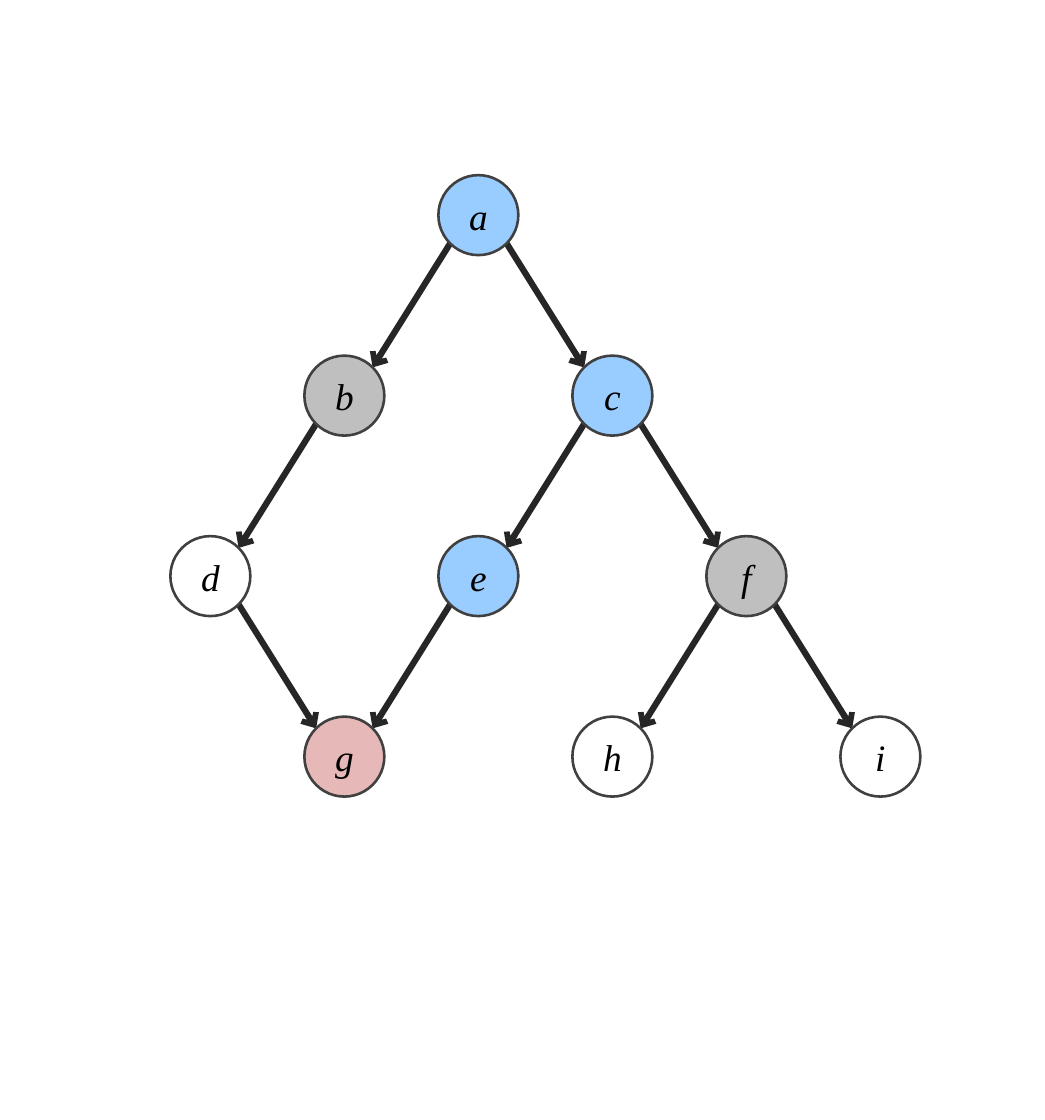
"""Build a slide with a directed graph of lettered nodes."""
import math

import lxml.etree
import pptx
import pptx.dml.color
import pptx.enum.shapes
import pptx.enum.text
import pptx.oxml.ns
import pptx.util

Cm = pptx.util.Cm
Pt = pptx.util.Pt

COLORS = {
    "edge": "262626",
    "outline": "404040",
    "text": "000000",
    "blue": "99CCFF",
    "gray": "BFBFBF",
    "white": "FFFFFF",
    "pink": "E6B9B8",
}
NODE_SIZE = Cm(1.36)
LAST_COLUMN, LAST_ROW = 5, 3
NODES = {
    "a": (2, 0, "blue"),
    "b": (1, 1, "gray"),
    "c": (3, 1, "blue"),
    "e": (2, 2, "blue"),
    "f": (4, 2, "gray"),
    "d": (0, 2, "white"),
    "h": (3, 3, "white"),
    "i": (5, 3, "white"),
    "g": (1, 3, "pink"),
}
EDGES = ["ab", "ac", "bd", "ce", "cf", "eg", "fh", "fi", "dg"]


def rgb(name):
    """Return the named colour as an RGB value."""
    return pptx.dml.color.RGBColor.from_string(COLORS[name])


def write_text(shape, text, *, size, font, color, italic=False):
    """Write centred text in a shape with the given format."""
    frame = shape.text_frame
    frame.margin_left = frame.margin_right = frame.margin_top = frame.margin_bottom = 0
    frame.vertical_anchor = pptx.enum.text.MSO_ANCHOR.MIDDLE
    paragraph = frame.paragraphs[0]
    paragraph.alignment = pptx.enum.text.PP_ALIGN.CENTER
    run = paragraph.add_run()
    run.text = text
    run.font.size = Pt(size)
    run.font.name = font
    run.font.italic = italic
    run.font.color.rgb = rgb(color)


def add_node(slide, letter, center, fill):
    """Add a round node with its letter around a centre point."""
    x, y = center
    shape = slide.shapes.add_shape(
        pptx.enum.shapes.MSO_SHAPE.OVAL,
        x - NODE_SIZE // 2, y - NODE_SIZE // 2, NODE_SIZE, NODE_SIZE,
    )
    shape.shadow.inherit = False
    shape.fill.solid()
    shape.fill.fore_color.rgb = rgb(fill)
    shape.line.color.rgb = rgb("outline")
    shape.line.width = Pt(1.25)
    write_text(shape, letter, size=18, font="Times New Roman", color="text", italic=True)


def add_edge(slide, start, end):
    """Add an arrow between the facing diagonal points of two nodes."""
    offset = round(NODE_SIZE / 2 * math.cos(math.pi / 4))
    side = offset if end[0] > start[0] else -offset
    connector = slide.shapes.add_connector(
        pptx.enum.shapes.MSO_CONNECTOR.STRAIGHT,
        start[0] + side, start[1] + offset, end[0] - side, end[1] - offset,
    )
    connector.line.color.rgb = rgb("edge")
    connector.line.width = Pt(3)
    qn = pptx.oxml.ns.qn
    line = connector.line._get_or_add_ln()
    lxml.etree.SubElement(line, qn("a:tailEnd"), type="arrow", w="med", len="sm")
    lxml.etree.SubElement(connector._element.spPr, qn("a:effectLst"))


def add_graph(slide, left, top, width, height):
    """Spread the nodes on a grid in the box and join them."""
    column_step = (width - NODE_SIZE) / LAST_COLUMN
    row_step = (height - NODE_SIZE) / LAST_ROW
    centers = {
        letter: (
            round(left + NODE_SIZE / 2 + column * column_step),
            round(top + NODE_SIZE / 2 + row * row_step),
        )
        for letter, (column, row, _) in NODES.items()
    }
    for start, end in EDGES:
        add_edge(slide, centers[start], centers[end])
    for letter, (_, _, fill) in NODES.items():
        add_node(slide, letter, centers[letter], fill)


def main():
    """Create and save the presentation."""
    presentation = pptx.Presentation()
    presentation.slide_width = Cm(17.78)
    presentation.slide_height = Cm(19.05)
    slide = presentation.slides.add_slide(presentation.slide_layouts[6])
    add_graph(slide, Cm(2.9), Cm(2.98), Cm(12.76), Cm(10.57))
    presentation.save("out.pptx")


if __name__ == "__main__":
    main()
